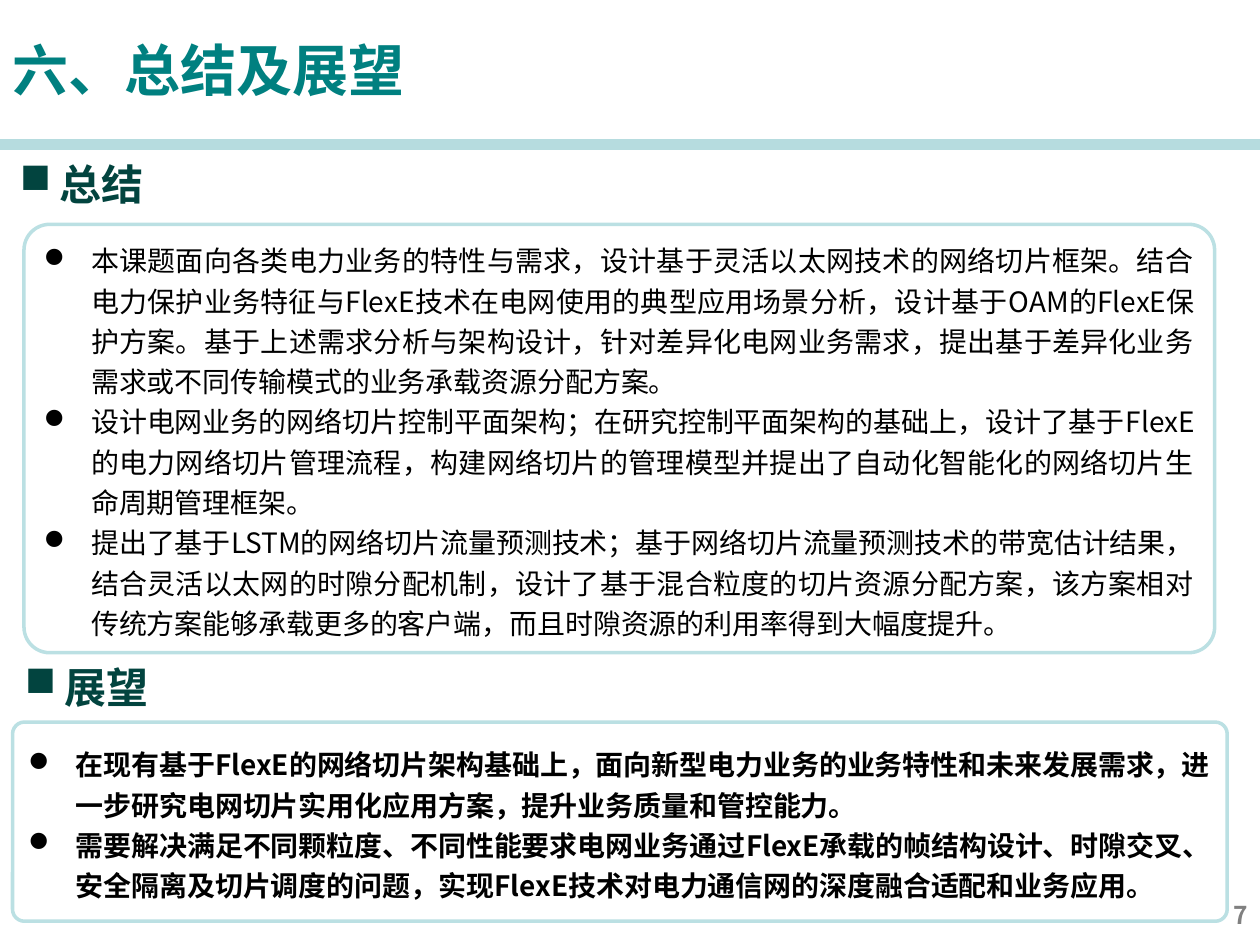
"""Build the summary and outlook slide of a power-grid network slicing talk."""
from lxml.etree import SubElement
from pptx import Presentation
from pptx.dml.color import RGBColor
from pptx.enum.shapes import MSO_CONNECTOR as CONNECTOR, MSO_SHAPE as SHAPE
from pptx.enum.text import MSO_ANCHOR as ANCHOR, PP_ALIGN as ALIGN
from pptx.oxml.ns import qn
from pptx.util import Pt

FONT = "Noto Sans CJK SC"
DISC, SQUARE = "l", "n"


def color(value):
    return RGBColor.from_string(value)


def format_paragraph(paragraph, size, hex_color, bold=False, align=ALIGN.LEFT, bullet=None, indent=0):
    paragraph.alignment = align
    if bullet:
        properties = paragraph._p.get_or_add_pPr()
        properties.set("marL", str(Pt(indent)))
        properties.set("indent", str(-Pt(indent)))
        properties.set("hangingPunct", "0")
        SubElement(properties, qn("a:buFont"), typeface="Wingdings", charset="2")
        SubElement(properties, qn("a:buChar"), char=bullet)
    font = paragraph.font
    font.size, font.bold, font.name = Pt(size), bold, FONT
    font.color.rgb = color(hex_color)
    SubElement(font._element, qn("a:ea"), typeface=FONT)


presentation = Presentation()
presentation.slide_width, presentation.slide_height = Pt(720), Pt(540)
slide = presentation.slides.add_slide(presentation.slide_layouts[5])
shapes = slide.shapes

rule = shapes.add_connector(CONNECTOR.STRAIGHT, Pt(0), Pt(82.6), Pt(720), Pt(82.6))
rule.line.color.rgb = color("B6DCDF")
rule.line.width = Pt(6)
SubElement(rule._element.spPr, qn("a:effectLst"))

title = shapes.title
title.left, title.top, title.width, title.height = Pt(0), Pt(0), Pt(556.6), Pt(78.5)
title.text_frame.text = "六、总结及展望"
title.text_frame.vertical_anchor = ANCHOR.MIDDLE
format_paragraph(title.text_frame.paragraphs[0], 32, "008080", bold=True)

summary = [
    "本课题面向各类电力业务的特性与需求，设计基于灵活以太网技术的网络切片框架。结合电力保护业务特征与FlexE技术在电网使用的典型应用场景分析，设计基于OAM的FlexE保护方案。基于上述需求分析与架构设计，针对差异化电网业务需求，提出基于差异化业务需求或不同传输模式的业务承载资源分配方案。",
    "设计电网业务的网络切片控制平面架构；在研究控制平面架构的基础上，设计了基于FlexE的电力网络切片管理流程，构建网络切片的管理模型并提出了自动化智能化的网络切片生命周期管理框架。",
    "提出了基于LSTM的网络切片流量预测技术；基于网络切片流量预测技术的带宽估计结果，结合灵活以太网的时隙分配机制，设计了基于混合粒度的切片资源分配方案，该方案相对传统方案能够承载更多的客户端，而且时隙资源的利用率得到大幅度提升。",
]
outlook = [
    "在现有基于FlexE的网络切片架构基础上，面向新型电力业务的业务特性和未来发展需求，进一步研究电网切片实用化应用方案，提升业务质量和管控能力。",
    "需要解决满足不同颗粒度、不同性能要求电网业务通过FlexE承载的帧结构设计、时隙交叉、安全隔离及切片调度的问题，实现FlexE技术对电力通信网的深度融合适配和业务应用。",
]
panels = [
    ((13.7, 128.2, 680.4, 244.8), summary, False, ALIGN.JUSTIFY),
    ((7.2, 412.6, 694.1, 113.8), outlook, True, ALIGN.LEFT),
]
for bounds, points, bold, align in panels:
    panel = shapes.add_shape(SHAPE.ROUNDED_RECTANGLE, *map(Pt, bounds))
    panel.adjustments[0] = 0.06
    panel.shadow.inherit = False
    panel.fill.solid()
    panel.fill.fore_color.rgb = color("FFFFFF")
    panel.line.color.rgb = color("BBE0E3")
    panel.line.width = Pt(2)
    frame = panel.text_frame
    frame.word_wrap = True
    frame.vertical_anchor = ANCHOR.MIDDLE
    frame.text = "\n".join(points)
    for paragraph in frame.paragraphs:
        paragraph.line_spacing = 1.2
        format_paragraph(paragraph, 16, "000000", bold, align, DISC, 27)

headings = [("总结", 4.3, 87.1), ("展望", 7.2, 374.4)]
for text, left, top in headings:
    heading = shapes.add_textbox(Pt(left), Pt(top), Pt(91), Pt(36))
    heading.text_frame.text = text
    format_paragraph(heading.text_frame.paragraphs[0], 24, "02443F", bold=True, bullet=SQUARE, indent=22.5)

page_number = shapes.add_textbox(Pt(552), Pt(510.5), Pt(168), Pt(29))
page_number.text_frame.word_wrap = True
page_number.text_frame.text = "7"
format_paragraph(page_number.text_frame.paragraphs[0], 14, "808080", bold=True, align=ALIGN.RIGHT)

presentation.save("out.pptx")
